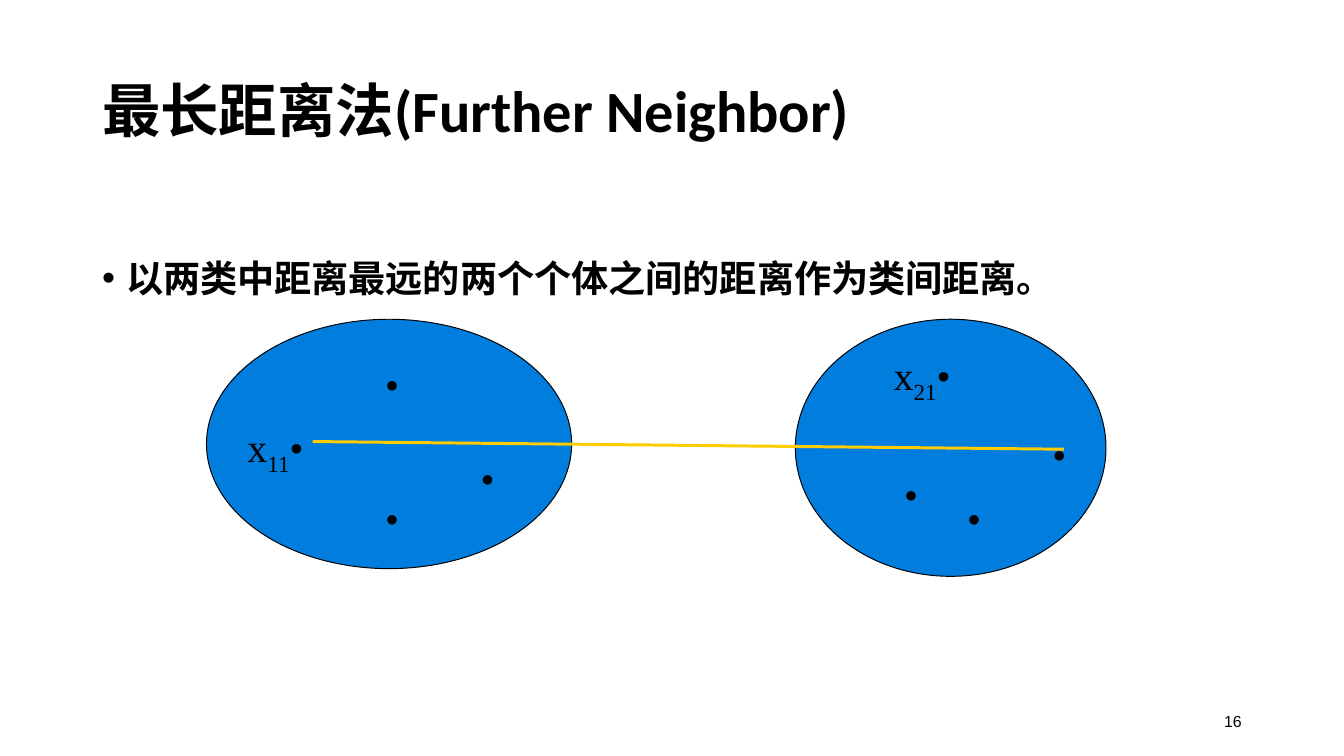
from dataclasses import dataclass

from lxml.etree import SubElement
from pptx import Presentation
from pptx.dml.color import RGBColor
from pptx.enum.lang import MSO_LANGUAGE_ID
from pptx.enum.shapes import MSO_CONNECTOR, MSO_SHAPE
from pptx.enum.text import MSO_ANCHOR, MSO_AUTO_SIZE, PP_ALIGN
from pptx.oxml.ns import qn
from pptx.util import Inches, Pt


@dataclass(frozen=True)
class Theme:
    ink: RGBColor = RGBColor(0, 0, 0)
    cluster: RGBColor = RGBColor(0x00, 0x7D, 0xDD)
    distance: RGBColor = RGBColor(0xFF, 0xCC, 0x00)
    heading_font: str = "Calibri"
    point_font: str = "Times New Roman"
    number_font: str = "Arial"
    title_size: int = 44
    body_size: int = 28
    point_size: int = 30
    number_size: int = 12


THEME = Theme()


def add_bullet(p):
    pPr = p._p.get_or_add_pPr()
    pPr.set("marL", str(Inches(0.25)))
    pPr.set("indent", str(Inches(-0.25)))
    SubElement(pPr, qn("a:buFont")).set("typeface", "Arial")
    SubElement(pPr, qn("a:buChar")).set("char", "•")


def add_text(s, box, text, *, size, font, bold=False, subscript=None, tail="",
             align=PP_ALIGN.LEFT, anchor=MSO_ANCHOR.TOP, spacing=None,
             bullet=False, wrap=True, chinese=False):
    tf = s.shapes.add_textbox(*map(Inches, box)).text_frame
    tf.word_wrap = wrap
    tf.auto_size = MSO_AUTO_SIZE.NONE if wrap else MSO_AUTO_SIZE.SHAPE_TO_FIT_TEXT
    tf.vertical_anchor = anchor
    p = tf.paragraphs[0]
    p.alignment = align
    if spacing:
        p.line_spacing = spacing
    if bullet:
        add_bullet(p)
    for part in filter(None, (text, subscript, tail)):
        r = p.add_run()
        r.text = part
        r.font.size = Pt(size)
        r.font.name = font
        r.font.bold = bold
        r.font.color.rgb = THEME.ink
        if chinese:
            r.font.language_id = MSO_LANGUAGE_ID.SIMPLIFIED_CHINESE
        if part == subscript:
            r._r.get_or_add_rPr().set("baseline", "-25000")


def add_cluster(s, box):
    sp = s.shapes.add_shape(MSO_SHAPE.OVAL, *map(Inches, box))
    sp.shadow.inherit = False
    sp.fill.solid()
    sp.fill.fore_color.rgb = THEME.cluster
    sp.line.color.rgb = THEME.ink
    sp.line.width = Pt(0.75)


def add_point(s, left, top, index=None):
    width = 0.83 if index else 0.35
    add_text(s, (left, top, width, 0.61), "x" if index else "", subscript=index,
             tail="•", size=THEME.point_size, font=THEME.point_font, wrap=False)


def add_distance(s, start, end):
    line = s.shapes.add_connector(MSO_CONNECTOR.STRAIGHT, *map(Inches, start + end))
    line.line.color.rgb = THEME.distance
    line.line.width = Pt(2.25)
    SubElement(line._element.spPr, qn("a:effectLst"))


def main():
    prs = Presentation()
    prs.slide_width, prs.slide_height = Inches(14.06), Inches(7.91)
    s = prs.slides.add_slide(prs.slide_layouts[6])

    add_text(s, (9.93, 7.33, 3.16, 0.42), "16", size=THEME.number_size,
             font=THEME.number_font, align=PP_ALIGN.RIGHT, anchor=MSO_ANCHOR.MIDDLE)
    add_text(s, (0.97, 0.42, 12.13, 1.53), "最长距离法(Further Neighbor)",
             size=THEME.title_size, font=THEME.heading_font, bold=True,
             anchor=MSO_ANCHOR.MIDDLE, spacing=0.9, chinese=True)
    add_text(s, (0.97, 2.67, 12.13, 0.65),
             "以两类中距离最远的两个个体之间的距离作为类间距离。",
             size=THEME.body_size, font=THEME.heading_font, bold=True,
             spacing=0.9, bullet=True, chinese=True)

    for box in ((2.16, 3.34, 3.82, 2.61), (8.32, 3.34, 3.25, 2.69)):
        add_cluster(s, box)
    points = (
        (3.93, 5.12), (4.93, 4.7), (3.93, 3.71), (2.49, 4.37, "11"),
        (9.25, 3.62, "21"), (10.91, 4.45), (10.02, 5.12), (9.36, 4.87),
    )
    for point in points:
        add_point(s, *point)
    add_distance(s, (3.27, 4.62), (11.13, 4.7))

    prs.save("out.pptx")


if __name__ == "__main__":
    main()
